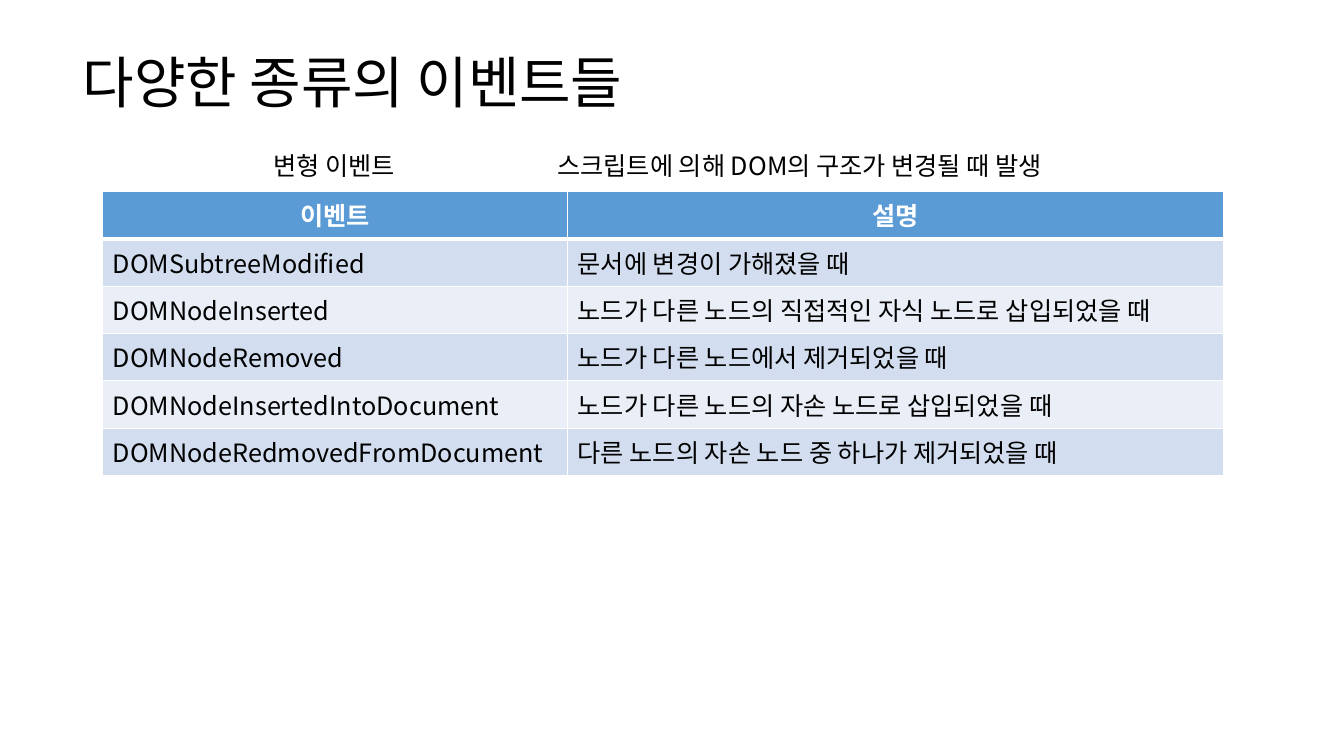
from pptx import Presentation
from pptx.dml.color import RGBColor as RGB
from pptx.enum.text import MSO_ANCHOR as ANCHOR, MSO_AUTO_SIZE as FIT, PP_ALIGN as ALIGN
from pptx.oxml import parse_xml
from pptx.oxml.ns import nsdecls
from pptx.util import Inches, Pt

FONT = "Noto Sans CJK KR"
BLACK = RGB(0x00, 0x00, 0x00)
WHITE = RGB(0xFF, 0xFF, 0xFF)
BLUE = RGB(0x5B, 0x9B, 0xD5)
BANDS = [RGB(0xD2, 0xDE, 0xEF), RGB(0xEA, 0xEF, 0xF7)]

EVENTS = [
    ("이벤트", "설명"),
    ("DOMSubtreeModified", "문서에 변경이 가해졌을 때"),
    ("DOMNodeInserted", "노드가 다른 노드의 직접적인 자식 노드로 삽입되었을 때"),
    ("DOMNodeRemoved", "노드가 다른 노드에서 제거되었을 때"),
    ("DOMNodeInsertedIntoDocument", "노드가 다른 노드의 자손 노드로 삽입되었을 때"),
    ("DOMNodeRedmovedFromDocument", "다른 노드의 자손 노드 중 하나가 제거되었을 때"),
]


def add_run(par, text, size=18, color=BLACK, bold=False):
    """Add a run in the slide font, for Latin and Korean text alike."""
    run = par.add_run()
    run.text = text
    font = run.font
    font.name, font.size, font.bold = FONT, Pt(size), bold
    font.color.rgb = color
    latin = run._r.rPr.find("{*}latin")
    latin.addnext(parse_xml(f'<a:ea {nsdecls("a")} typeface="{FONT}"/>'))


def set_edges(cell, base):
    """Draw white lines around a cell, with the given bottom width in points."""
    props = cell._tc.get_or_add_tcPr()
    for spot, (side, width) in enumerate([("L", 1), ("R", 1), ("T", 1), ("B", base)]):
        props.insert(spot, parse_xml(
            f'<a:ln{side} {nsdecls("a")} w="{Pt(width)}"><a:solidFill>'
            f'<a:srgbClr val="{WHITE}"/></a:solidFill></a:ln{side}>'))


deck = Presentation()
deck.slide_width, deck.slide_height = Inches(13.33), Inches(7.5)
slide = deck.slides.add_slide(deck.slide_layouts[5])

# Title
title = slide.shapes.title
title.left, title.top = Inches(0.72), Inches(0.46)
title.width, title.height = Inches(6.5), Inches(0.77)
frame = title.text_frame
frame.auto_size = FIT.NONE
frame.vertical_anchor = ANCHOR.MIDDLE
par = frame.paragraphs[0]
par.alignment = ALIGN.LEFT
par.line_spacing = 0.9
add_run(par, "다양한 종류의 이벤트들", 40)

# Event table
shape = slide.shapes.add_table(len(EVENTS), 2, Inches(1.02), Inches(1.9),
                               Inches(11.12), Inches(0.47 * len(EVENTS)))
table = shape.table
for col, width in zip(table.columns, (4.61, 6.51)):
    col.width = Inches(width)
for i, event in enumerate(EVENTS):
    head = i == 0
    for j, text in enumerate(event):
        cell = table.cell(i, j)
        cell.fill.solid()
        cell.fill.fore_color.rgb = BLUE if head else BANDS[(i - 1) % 2]
        set_edges(cell, 3 if head else 1)
        par = cell.text_frame.paragraphs[0]
        par.alignment = ALIGN.CENTER if head else ALIGN.LEFT
        add_run(par, text, color=WHITE if head else BLACK, bold=head)

# Caption, its two parts set apart by a tab stop
box = slide.shapes.add_textbox(Inches(2.61), Inches(1.44), Inches(8.77), Inches(0.4))
frame = box.text_frame
frame.word_wrap = True
par = frame.paragraphs[0]
par._p.get_or_add_pPr().append(parse_xml(
    f'<a:tabLst {nsdecls("a")}><a:tab pos="{Inches(2.82)}" algn="l"/></a:tabLst>'))
add_run(par, "변형 이벤트\t스크립트에 의해 DOM의 구조가 변경될 때 발생")

deck.save("out.pptx")
